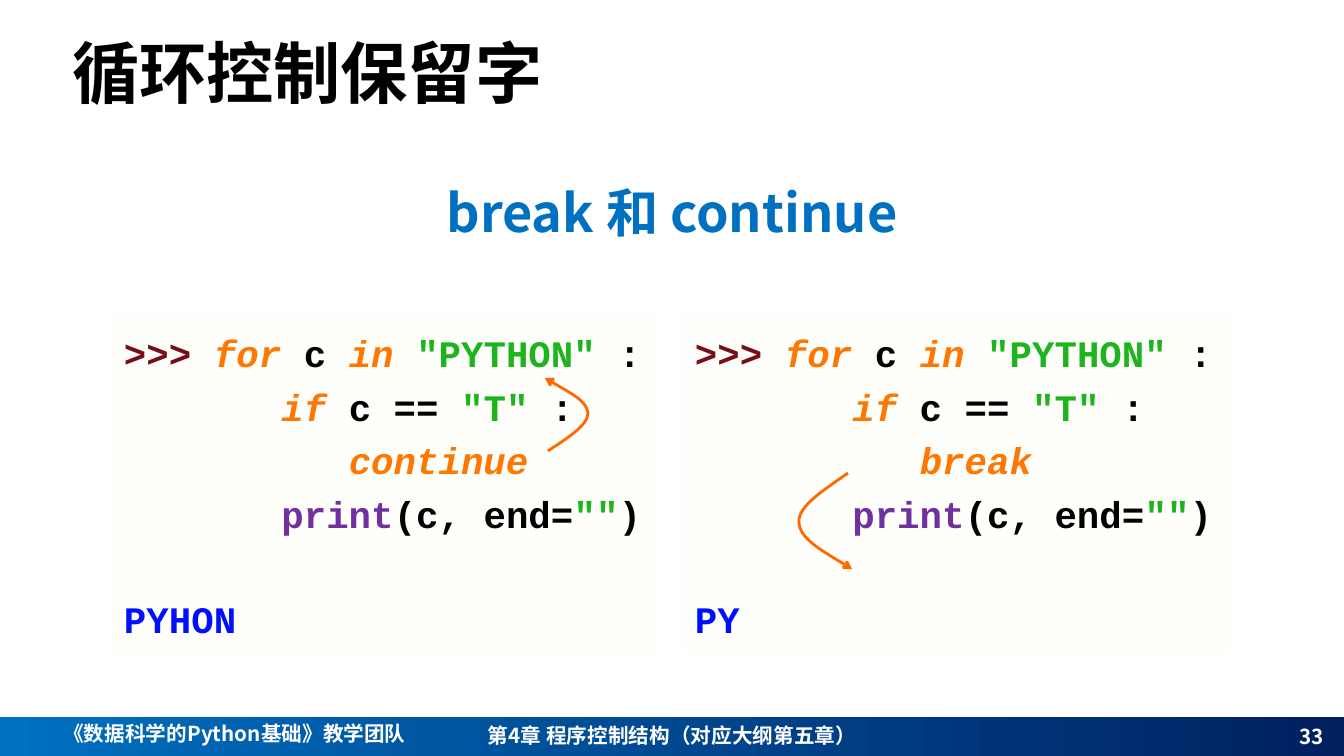
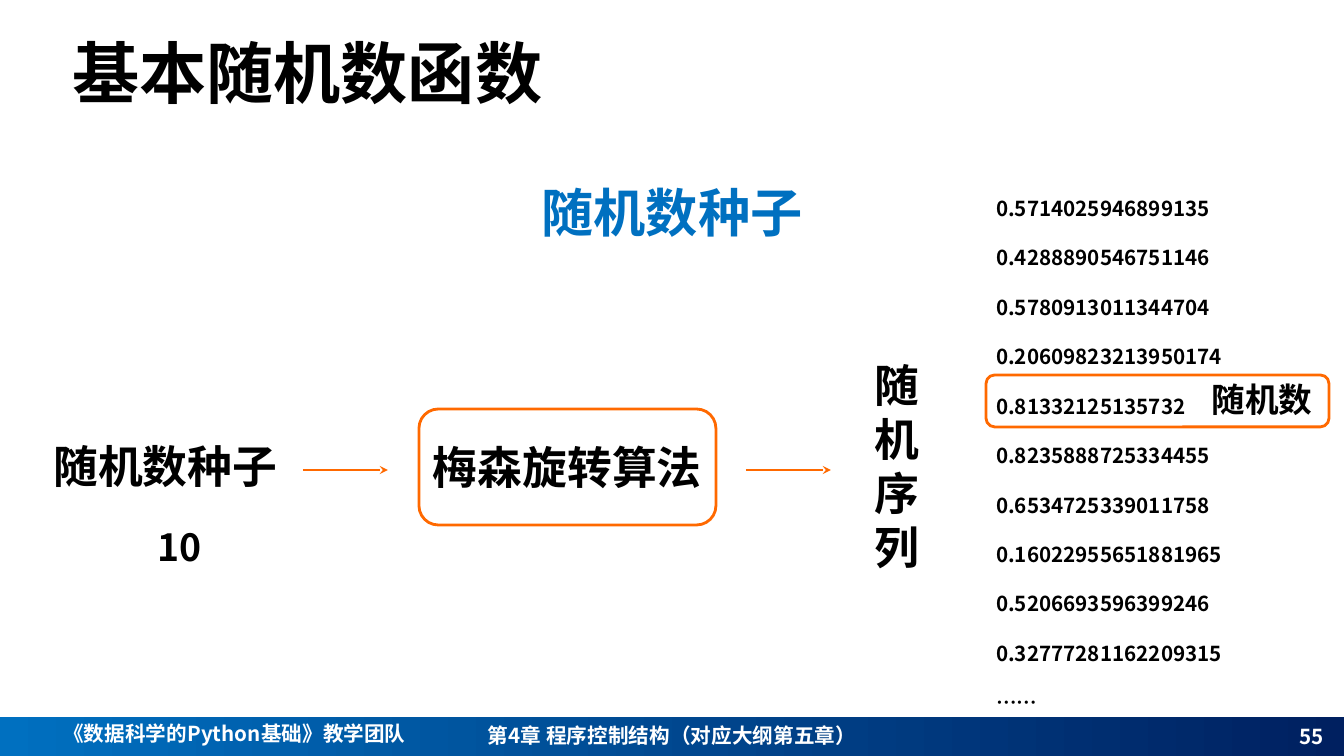
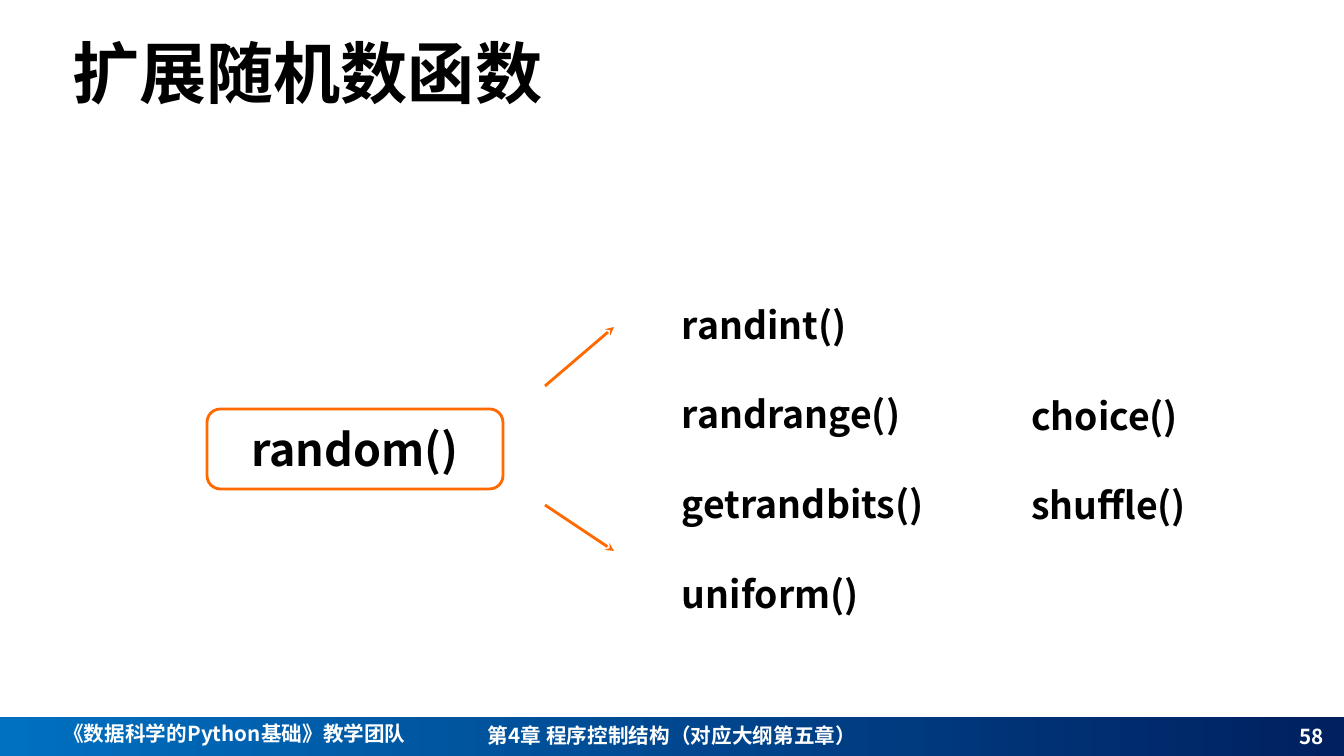
import pptx
import pptx.dml.color
import pptx.enum.shapes
import pptx.enum.text
import pptx.oxml.ns
import pptx.util
import lxml.etree

RGBColor = pptx.dml.color.RGBColor
BLACK = RGBColor(0x00, 0x00, 0x00)
WHITE = RGBColor(0xFF, 0xFF, 0xFF)
BLUE = RGBColor(0x00, 0x70, 0xC0)
NAVY = RGBColor(0x00, 0x20, 0x60)
ORANGE = RGBColor(0xFF, 0x69, 0x00)
CODE_PAPER = RGBColor(0xFE, 0xFE, 0xFA)
PROMPT = RGBColor(0x78, 0x0D, 0x17)
KEYWORD = RGBColor(0xFF, 0x77, 0x00)
STRING = RGBColor(0x1D, 0xB4, 0x1D)
BUILTIN = RGBColor(0x70, 0x30, 0xA0)
OUTPUT = RGBColor(0x00, 0x10, 0xFF)

SANS = "Noto Sans CJK SC"
MONO = "Courier New"
SMALL, LABEL, MEDIUM, LARGE, SUBTITLE, TITLE = 14.7, 24, 26.7, 32, 37.3, 48

WIDTH, HEIGHT = 1344, 756
EMU_PER_PX = 12192000 / WIDTH
SUBTITLE_BOX = (0, 177, WIDTH, 77)

ALIGN = pptx.enum.text.PP_ALIGN
ANCHOR = pptx.enum.text.MSO_ANCHOR
SHAPE = pptx.enum.shapes.MSO_SHAPE
qn = pptx.oxml.ns.qn


def emu(pixels):
    return pptx.util.Emu(round(pixels * EMU_PER_PX))


def apply(target, values):
    for name, value in values.items():
        setattr(target, name, value)


def write(shape, lines, size, color=BLACK, font=SANS, align=ALIGN.LEFT,
          spacing=1.0, anchor=ANCHOR.TOP, margins=(10, 5), wrap=True):
    frame = shape.text_frame
    across, down = map(emu, margins)
    apply(frame, {
        "auto_size": pptx.enum.text.MSO_AUTO_SIZE.NONE, "word_wrap": wrap,
        "vertical_anchor": anchor, "margin_left": across, "margin_right": across,
        "margin_top": down, "margin_bottom": down,
    })
    for index, line in enumerate(lines):
        paragraph = frame.add_paragraph() if index else frame.paragraphs[0]
        apply(paragraph, {"alignment": align, "line_spacing": spacing,
                          "space_before": pptx.util.Pt(0)})
        for text, run_color in [(line, color)] if isinstance(line, str) else line:
            run = paragraph.add_run()
            run.text = text
            apply(run.font, {"name": font, "size": pptx.util.Pt(size),
                             "bold": True, "italic": run_color == KEYWORD})
            run.font.color.rgb = run_color
    for properties in shape.element.iter(qn("a:rPr")):
        lxml.etree.SubElement(properties, qn("a:ea"), typeface=font)


def write_placeholder(placeholder, box, lines, size, **style):
    apply(placeholder, dict(zip(("left", "top", "width", "height"), map(emu, box))))
    write(placeholder, lines, size, **style)
    for properties in placeholder.element.iter(qn("a:pPr")):
        apply_indent = {"marL": "0", "indent": "0"}
        for name, value in apply_indent.items():
            properties.set(name, value)
        lxml.etree.SubElement(properties, qn("a:buNone"))


def add_text(slide, box, lines, size, **style):
    shape = slide.shapes.add_textbox(*map(emu, box))
    write(shape, lines, size, **style)
    return shape


def add_block(slide, kind, box):
    shape = slide.shapes.add_shape(kind, *map(emu, box))
    shape.shadow.inherit = False
    shape.line.fill.background()
    return shape


def style_line(shape, arrowhead=None):
    shape.line.color.rgb = ORANGE
    shape.line.width = pptx.util.Pt(2)
    if arrowhead:
        line = next(shape.element.iter(qn("a:ln")))
        lxml.etree.SubElement(line, qn("a:tailEnd"), type=arrowhead)


def add_outlined_label(slide, box, text, size, **style):
    shape = add_block(slide, SHAPE.ROUNDED_RECTANGLE, box)
    shape.fill.background()
    style_line(shape)
    write(shape, [text], size, **style)


def add_arrow(slide, start, end):
    connector = slide.shapes.add_connector(
        pptx.enum.shapes.MSO_CONNECTOR.STRAIGHT, *map(emu, start + end))
    style_line(connector, "stealth")
    lxml.etree.SubElement(connector.element.spPr, qn("a:effectLst"))


def add_curved_arrow(slide, origin, points):
    left, top = origin
    placed = [(left + x, top + y) for x, y in points]
    builder = slide.shapes.build_freeform(*placed[0], scale=EMU_PER_PX)
    builder.add_line_segments(placed[1:], close=False)
    shape = builder.convert_to_shape()
    shape.shadow.inherit = False
    shape.fill.background()
    outline = next(shape.element.iter(qn("a:path")))
    segments = outline.findall(qn("a:lnTo"))
    for first in range(0, len(segments), 3):
        curve = lxml.etree.SubElement(outline, qn("a:cubicBezTo"))
        for segment in segments[first:first + 3]:
            curve.append(segment[0])
            outline.remove(segment)
    style_line(shape, "arrow")


def add_master_band(presentation, slide):
    band = add_block(slide, SHAPE.RECTANGLE, (0, 717, WIDTH, 39))
    band.fill.gradient()
    band.fill.gradient_angle = 0
    for stop, color in zip(band.fill.gradient_stops, (BLUE, NAVY)):
        stop.color.rgb = color
    style = {"color": WHITE, "align": ALIGN.CENTER}
    chapter = add_text(slide, (0, 718, WIDTH, 35),
                       ["第4章 程序控制结构（对应大纲第五章）"], SMALL, **style)
    team = add_text(slide, (0, 716, 469, 35),
                    ["《数据科学的Python基础》教学团队"], SMALL, **style)
    tree = presentation.slide_master.element.cSld.spTree
    for number, shape in enumerate((band, chapter, team), 101):
        shape.element.nvSpPr.cNvPr.set("id", str(number))
        tree.append(shape.element)


def add_page(presentation, layout_index, title, number):
    slide = presentation.slides.add_slide(presentation.slide_layouts[layout_index])
    write_placeholder(slide.shapes.title, (69, 5, 1275, 110), [title], TITLE,
                      anchor=ANCHOR.BOTTOM, margins=(3, 3))
    if len(presentation.slides) == 1:
        add_master_band(presentation, slide)
    add_text(slide, (1032, 717, 302, 39), [number], SMALL, color=WHITE,
             align=ALIGN.RIGHT, anchor=ANCHOR.MIDDLE)
    return slide


def write_subtitle(slide, text):
    write_placeholder(slide.placeholders[1], SUBTITLE_BOX, [text], SUBTITLE,
                      color=BLUE, align=ALIGN.CENTER, margins=(3, 3))


def add_code_panel(slide, box, keyword, output, arrow_points):
    panel = add_block(slide, SHAPE.RECTANGLE, box)
    panel.fill.solid()
    panel.fill.fore_color.rgb = CODE_PAPER
    lines = [
        [(">>> ", PROMPT), ("for ", KEYWORD), ("c ", BLACK), ("in ", KEYWORD),
         ('"PYTHON" ', STRING), (":", BLACK)],
        [("       ", BLACK), ("if", KEYWORD), (" c == ", BLACK),
         ('"T"', STRING), (" :", BLACK)],
        [("          ", BLACK), (keyword, KEYWORD)],
        [("       ", BLACK), ("print", BUILTIN), ("(c, end=", BLACK),
         ('""', STRING), (")", BLACK)],
        [(output, OUTPUT)],
    ]
    write(panel, lines, MEDIUM, font=MONO, spacing=1.2, margins=(13, 7), wrap=False)
    apply(panel.text_frame.paragraphs[-1],
          {"line_spacing": 1.5, "space_before": pptx.util.Pt(26.5)})
    add_curved_arrow(slide, box[:2], arrow_points)


def build_loop_slide(presentation):
    slide = add_page(presentation, 1, "循环控制保留字", "33")
    write_subtitle(slide, "break 和 continue")
    back_to_loop = [(437, 137), (458, 123), (477, 111), (477, 99),
                    (476, 87), (454, 76), (434, 64)]
    out_of_loop = [(166, 159), (142, 176), (116, 192), (117, 208),
                   (117, 224), (144, 239), (170, 255)]
    panels = [("continue", "PYHON", back_to_loop), ("break", "PY", out_of_loop)]
    for index, panel in enumerate(panels):
        add_code_panel(slide, (111 + 571 * index, 314, 549, 339), *panel)


def build_seed_slide(presentation):
    slide = add_page(presentation, 3, "基本随机数函数", "55")
    write_subtitle(slide, "随机数种子")
    numbers = [
        "0.5714025946899135", "0.4288890546751146", "0.5780913011344704",
        "0.20609823213950174", "0.81332125135732", "0.8235888725334455",
        "0.6534725339011758", "0.16022955651881965", "0.5206693596399246",
        "0.32777281162209315", "……",
    ]
    write_placeholder(slide.placeholders[2], (986, 166, 297, 550), numbers, SMALL,
                      spacing=2.0)
    centred = {"align": ALIGN.CENTER}
    add_text(slide, (42, 434, 247, 65), ["随机数种子"], LARGE, wrap=False, **centred)
    add_text(slide, (146, 519, 67, 55), ["10"], MEDIUM, wrap=False, **centred)
    add_outlined_label(slide, (419, 409, 297, 116), "梅森旋转算法", LARGE,
                       anchor=ANCHOR.MIDDLE, wrap=False, **centred)
    add_text(slide, (860, 353, 74, 228), ["随机序列"], LARGE, **centred)
    for left in (303, 746):
        add_arrow(slide, (left, 470), (left + 85, 470))
    add_outlined_label(slide, (986, 375, 343, 52), "随机数", LABEL,
                       align=ALIGN.RIGHT, margins=(14, 1))


def build_functions_slide(presentation):
    slide = add_page(presentation, 3, "扩展随机数函数", "58")
    add_outlined_label(slide, (207, 409, 296, 80), "random()", LARGE,
                       align=ALIGN.CENTER, anchor=ANCHOR.MIDDLE, wrap=False)
    for start_y, end_y in ((386, 327), (505, 551)):
        add_arrow(slide, (545, start_y), (614, end_y))
    columns = [
        ((672, 252, 296, 359), ["randint()", "randrange()", "getrandbits()", "uniform()"]),
        ((1021, 343, 192, 177), ["choice()", "shuffle()"]),
    ]
    for index, (box, functions) in enumerate(columns, 1):
        write_placeholder(slide.placeholders[index], box, functions, MEDIUM, spacing=2.0)


def main():
    presentation = pptx.Presentation()
    apply(presentation, {"slide_width": emu(WIDTH), "slide_height": emu(HEIGHT)})
    for build in (build_loop_slide, build_seed_slide, build_functions_slide):
        build(presentation)
    presentation.save("out.pptx")


if __name__ == "__main__":
    main()
